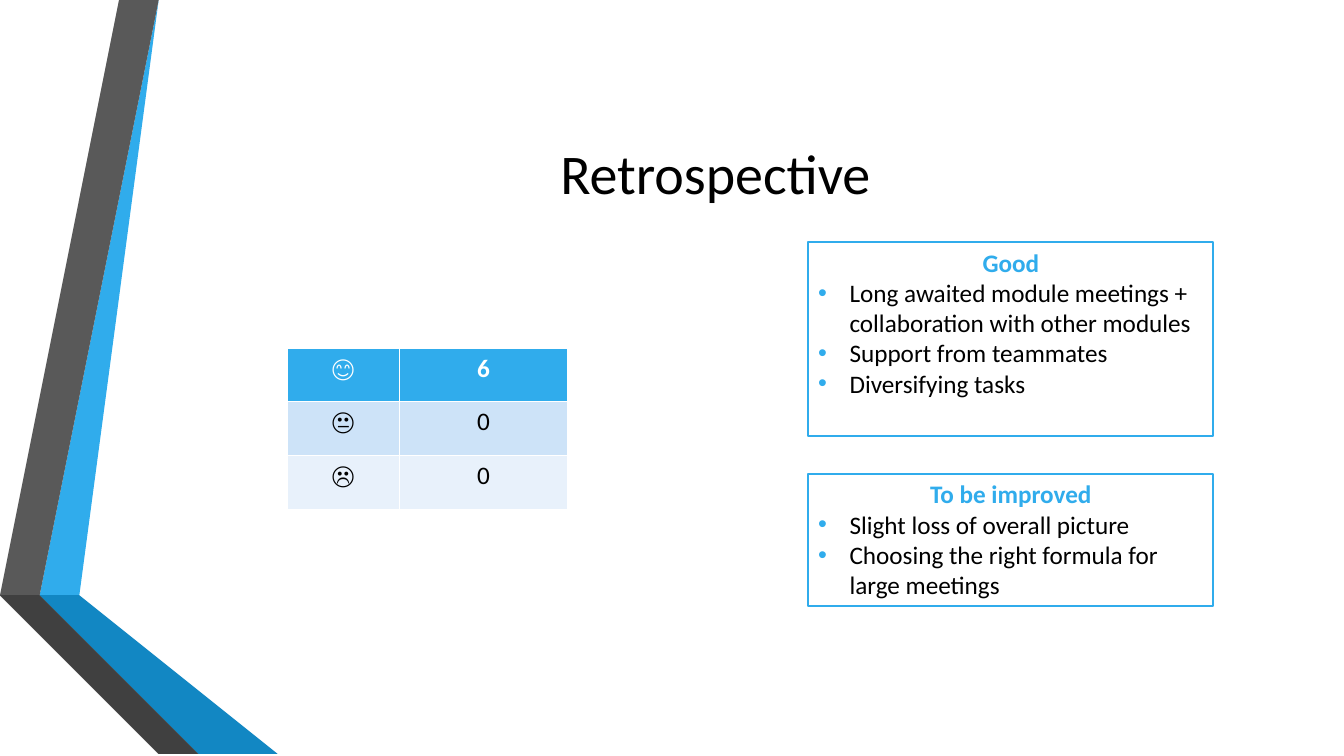
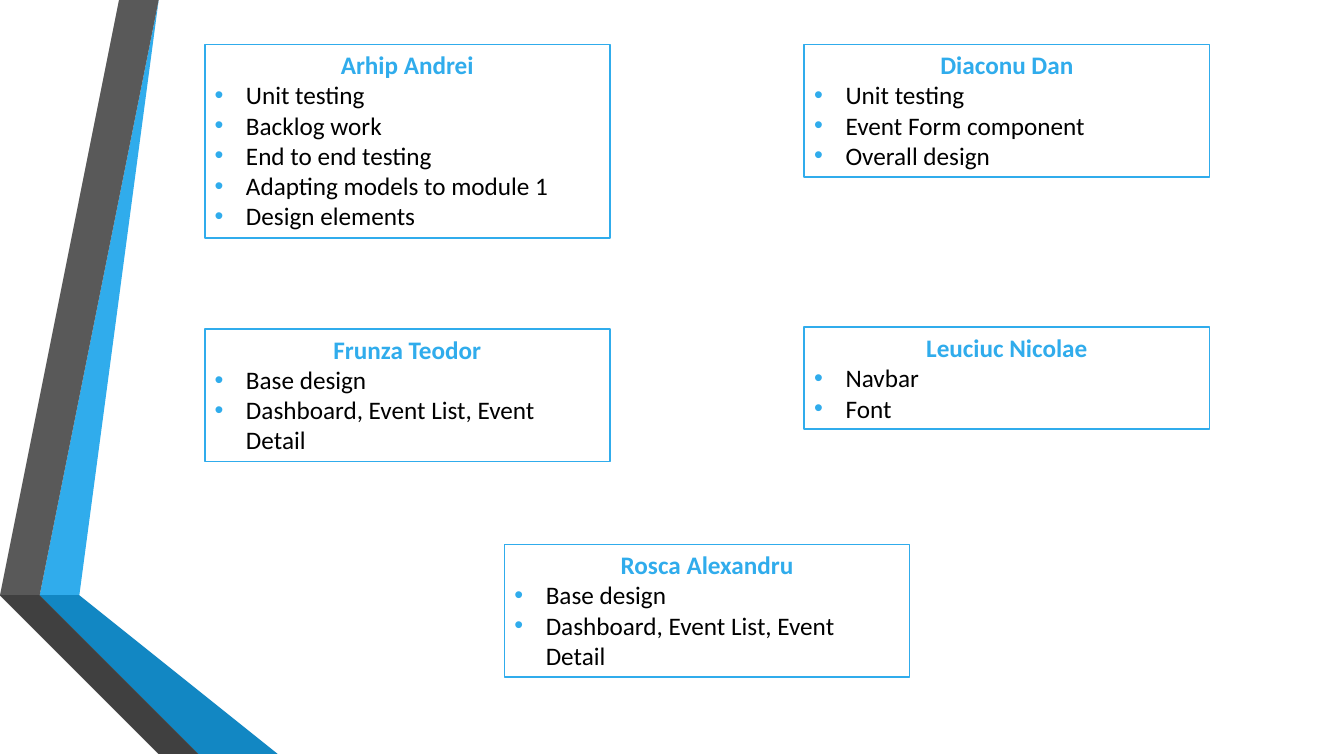
"""Build a sprint retrospective slide and a slide of work per team member."""
from lxml.etree import SubElement
from pptx import Presentation
from pptx.dml.color import RGBColor
from pptx.enum.shapes import MSO_SHAPE as SHAPE
from pptx.enum.text import MSO_ANCHOR as ANCHOR, PP_ALIGN as ALIGN
from pptx.oxml.ns import qn
from pptx.util import Cm, Pt

FONT = "Calibri"
BLUE, BLACK, WHITE = "30ACEC", "000000", "FFFFFF"
BANDS = [
    (BLUE, [(1.27, 14.68), (1.96, 14.81), (4.39, 0), (3.68, 0)]),
    ("595959", [(3.53, 0), (2.82, 0), (0.41, 14.55), (1.12, 14.66)]),
    ("262626", [(0.41, 14.55), (3.68, 19.05), (3.84, 19.05)]),
    ("0C5A82", [(1.27, 14.71), (5.28, 19.05), (5.44, 19.05)]),
    ("1287C3", [(1.27, 14.71), (5.44, 19.05), (7.19, 19.05), (1.96, 14.81), (1.27, 14.68)]),
    ("404040", [(5.13, 19.05), (1.22, 14.81), (1.09, 14.68), (1.12, 14.66),
                (0.41, 14.55), (3.84, 19.05)]),
]
CARD_WIDTH, CARD_PADDING, LINE_HEIGHT = 10.21, 0.26, 0.77
BULLET_INDENT = Cm(0.79)

rgb = RGBColor.from_string


def style(paragraph, size, color, bold=False, align=ALIGN.CENTER):
    paragraph.alignment = align
    for run in paragraph.runs:
        run.font.name = FONT
        run.font.size = Pt(size)
        run.font.bold = bold
        run.font.color.rgb = rgb(color)


def add_card(slide, left, top, lines, heading, items):
    height = CARD_PADDING + LINE_HEIGHT * lines
    card = slide.shapes.add_shape(SHAPE.RECTANGLE, Cm(left), Cm(top), Cm(CARD_WIDTH), Cm(height))
    card.shadow.inherit = False
    card.fill.solid()
    card.fill.fore_color.rgb = rgb(WHITE)
    card.line.color.rgb = rgb(BLUE)
    card.line.width = Pt(1.25)
    frame = card.text_frame
    frame.word_wrap = True
    frame.vertical_anchor = ANCHOR.TOP
    frame.text = "\n".join([heading, *items])
    style(frame.paragraphs[0], 18, BLUE, bold=True)
    for item in frame.paragraphs[1:]:
        style(item, 18, BLACK, align=ALIGN.LEFT)
        properties = item._p.get_or_add_pPr()
        properties.set("marL", str(BULLET_INDENT))
        properties.set("indent", str(-BULLET_INDENT))
        bullet_color = SubElement(properties, qn("a:buClr"))
        SubElement(bullet_color, qn("a:srgbClr"), val=BLUE)
        SubElement(properties, qn("a:buFont"), typeface="Arial")
        SubElement(properties, qn("a:buChar"), char="•")


deck = Presentation()
deck.slide_width, deck.slide_height = Cm(33.87), Cm(19.05)
retrospective, team = [deck.slides.add_slide(deck.slide_layouts[6]) for _ in range(2)]

for slide in (retrospective, team):
    for color, (start, *corners) in BANDS:
        outline = slide.shapes.build_freeform(*start, scale=Cm(1))
        outline.add_line_segments(corners, close=True)
        band = outline.convert_to_shape()
        band.shadow.inherit = False
        band.fill.solid()
        band.fill.fore_color.rgb = rgb(color)
        band.line.fill.background()

title = retrospective.shapes.add_textbox(Cm(4.11), Cm(1.9), Cm(27.84), Cm(4.88)).text_frame
title.word_wrap = True
title.vertical_anchor = ANCHOR.MIDDLE
title.text = "Retrospective"
style(title.paragraphs[0], 40, BLACK)

MOODS = [
    ("😊", "6", BLUE, WHITE, 1.32),
    ("😐", "0", "CDE3F8", BLACK, 1.37),
    ("☹️", "0", "E8F1FB", BLACK, 1.37),
]
votes = retrospective.shapes.add_table(3, 2, Cm(7.24), Cm(8.79), Cm(7.07), Cm(4.06)).table
for column, width in zip(votes.columns, (2.82, 4.25)):
    column.width = Cm(width)
for row, (face, count, fill, ink, height) in zip(votes.rows, MOODS):
    row.height = Cm(height)
    for cell, text in zip(row.cells, (face, count)):
        cell.text = text
        cell.fill.solid()
        cell.fill.fore_color.rgb = rgb(fill)
        style(cell.text_frame.paragraphs[0], 18, ink, bold=ink == WHITE)

add_card(retrospective, 20.37, 6.1, 6, "Good", [
    "Long awaited module meetings + collaboration with other modules",
    "Support from teammates",
    "Diversifying tasks",
])
add_card(retrospective, 20.37, 11.94, 4, "To be improved", [
    "Slight loss of overall picture",
    "Choosing the right formula for large meetings",
])

LEFT, RIGHT = 5.16, 20.27
MIDDLE = (LEFT + RIGHT) / 2
DASHBOARD_WORK = ["Base design", "Dashboard, Event List, Event Detail"]
MEMBERS = [
    (LEFT, 1.12, 6, "Arhip Andrei", ["Unit testing", "Backlog work", "End to end testing",
                                     "Adapting models to module 1", "Design elements"]),
    (RIGHT, 1.12, 4, "Diaconu Dan", ["Unit testing", "Event Form component", "Overall design"]),
    (LEFT, 8.29, 4, "Frunza Teodor", DASHBOARD_WORK),
    (RIGHT, 8.25, 3, "Leuciuc Nicolae", ["Navbar", "Font"]),
    (MIDDLE, 13.72, 4, "Rosca Alexandru", DASHBOARD_WORK),
]
for member in MEMBERS:
    add_card(team, *member)

deck.save("out.pptx")
